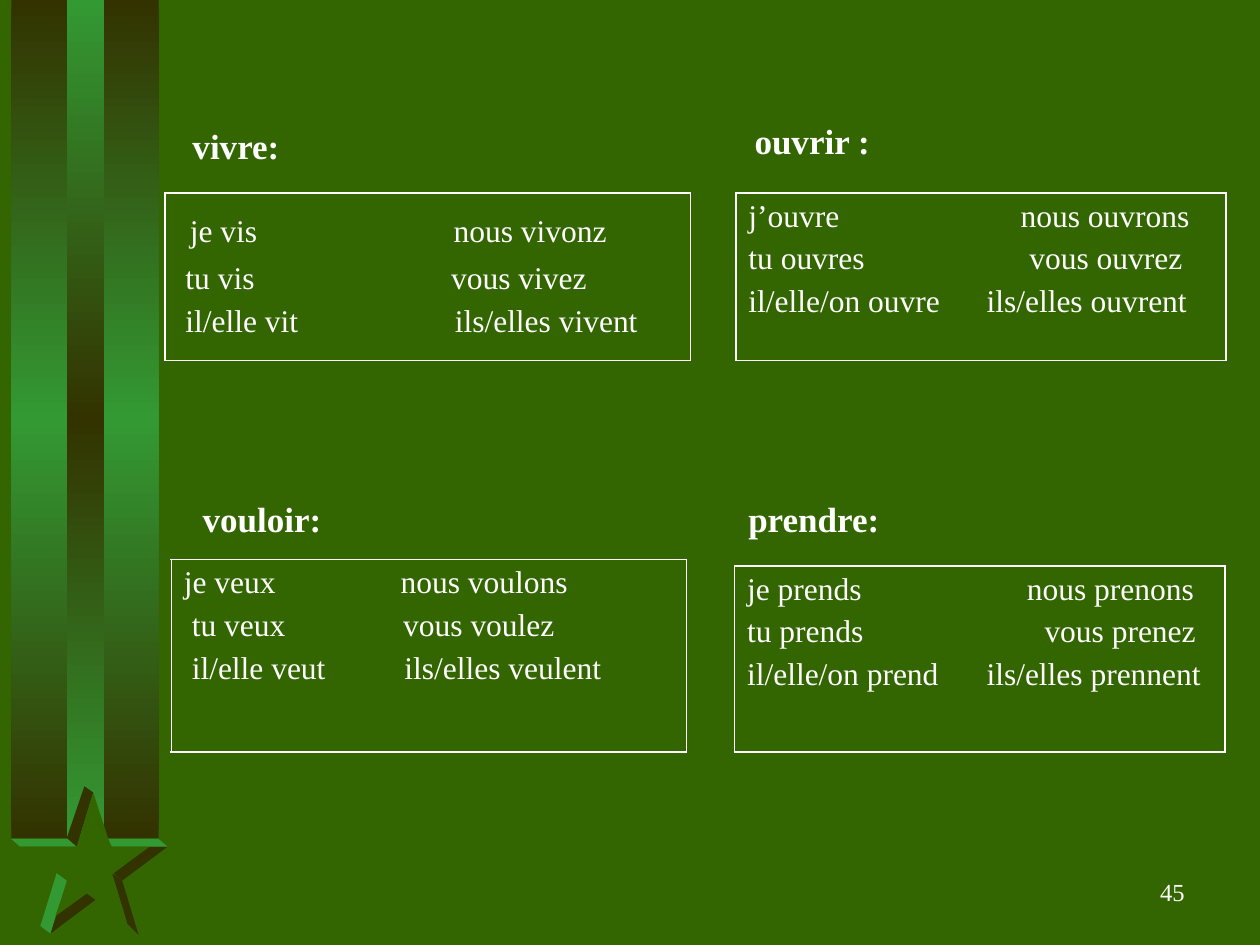
"""Build a slide of four French verb conjugations beside a star ribbon."""
from copy import deepcopy

from lxml.etree import SubElement
from pptx import Presentation
from pptx.dml.color import RGBColor
from pptx.enum.shapes import MSO_SHAPE
from pptx.enum.text import MSO_ANCHOR, PP_ALIGN
from pptx.oxml import parse_xml
from pptx.oxml.ns import nsdecls, qn
from pptx.util import Pt

PX = 9144
FONT = "Times New Roman"
WHITE = RGBColor(0xFF, 0xFF, 0xFF)
BROWN = RGBColor(0x33, 0x33, 0x00)
GREEN = RGBColor(0x33, 0x99, 0x33)
BACK = RGBColor(0x33, 0x66, 0x00)


def box(*at):
    return [n * PX for n in at]


def add_run(para, text, size, bold=False):
    run = para.add_run()
    run.text = text
    run.font.name = FONT
    run.font.size = Pt(size)
    run.font.bold = bold
    run.font.color.rgb = WHITE


deck = Presentation()
deck.slide_width, deck.slide_height = box(1000, 750)
slide = deck.slides.add_slide(deck.slide_layouts[6])
slide.background.fill.solid()
slide.background.fill.fore_color.rgb = BACK
shapes = slide.shapes

bands = [
    ((9, 0, 117, 665), BROWN, GREEN),
    ((53, 0, 30, 665), GREEN, BROWN),
]
for at, edge, mid in bands:
    band = shapes.add_shape(MSO_SHAPE.RECTANGLE, *box(*at))
    band.shadow.inherit = False
    band.line.fill.background()
    band.fill.gradient()
    band.fill.gradient_angle = 90
    stops = band._element.spPr.find(qn("a:gradFill")).find(qn("a:gsLst"))
    stops.append(deepcopy(stops[0]))
    for stop, tint, pos in zip(band.fill.gradient_stops, (edge, mid, edge), (0, 0.5, 1)):
        stop.color.rgb = tint
        stop.position = pos

facets = [
    (BROWN, [(90, 693), (97, 699), (133, 672), (119, 672)]),
    (GREEN, [(9, 666), (16, 672), (62, 672), (54, 666)]),
    (BROWN, [(61, 672), (74, 629), (67, 624), (53, 665)]),
    (GREEN, [(89, 672), (86, 666), (126, 666), (133, 672)]),
    (BROWN, [(33, 735), (40, 741), (76, 714), (69, 709)]),
    (BROWN, [(101, 733), (110, 742), (97, 699), (89, 693)]),
    (GREEN, [(40, 741), (53, 699), (45, 693), (32, 735)]),
    (BACK, [(74, 629), (61, 672), (16, 672), (54, 699), (44, 727),
            (69, 709), (101, 733), (89, 694), (118, 672), (88, 672)]),
]
for tint, points in facets:
    pen = shapes.build_freeform(*points[0], scale=PX)
    pen.add_line_segments(points[1:], close=True)
    facet = pen.convert_to_shape()
    facet.shadow.inherit = False
    facet.fill.solid()
    facet.fill.fore_color.rgb = tint
    facet.line.fill.background()

verbs = [
    ((131, 153, 417, 133), [
        (" je vis", 219, "nous vivonz"),
        (" tu vis", 217, "vous vivez"),
        (" il/elle vit", 220, "ils/elles vivent")]),
    ((584, 153, 389, 133), [
        ("j’ouvre", 216, "nous ouvrons"),
        ("tu ouvres", 223, "vous ouvrez"),
        ("il/elle/on ouvre", 189, "ils/elles ouvrent")]),
    ((136, 444, 409, 153), [
        ("je veux", 172, "nous voulons"),
        (" tu veux", 174, "vous voulez"),
        (" il/elle veut", 175, "ils/elles veulent")]),
    ((583, 449, 389, 148), [
        ("je prends", 222, "nous prenons"),
        ("tu prends", 236, "vous prenez"),
        ("il/elle/on prend", 190, "ils/elles prennent")]),
]
for at, rows in verbs:
    table = shapes.add_table(1, 1, *box(*at)).table
    table.first_row = False
    table.horz_banding = False
    cell = table.cell(0, 0)
    cell.fill.background()
    for i, side in enumerate("LRTB"):
        cell._tc.tcPr.insert(i, parse_xml(
            f'<a:ln{side} {nsdecls("a")} w="{Pt(1.08)}"><a:solidFill>'
            f'<a:srgbClr val="{WHITE}"/></a:solidFill></a:ln{side}>'))
    frame = cell.text_frame
    for i, (left, stop, right) in enumerate(rows):
        para = frame.add_paragraph() if i else frame.paragraphs[0]
        if i:
            para.space_before = Pt(4.5)
        tabs = SubElement(para._p.get_or_add_pPr(), qn("a:tabLst"))
        SubElement(tabs, qn("a:tab"), pos=str(stop * PX), algn="l")
        if left == " je vis":
            add_run(para, " ", 28)
            left = left.strip()
        add_run(para, f"{left}\t{right}", 18)

labels = [
    ((136, 94, 148, 44), " vivre:"),
    ((151, 390, 182, 44), "vouloir:"),
    ((589, 90, 157, 44), "ouvrir :"),
    ((584, 390, 148, 44), "prendre:"),
]
for at, text in labels:
    frame = shapes.add_textbox(*box(*at)).text_frame
    frame.word_wrap = True
    add_run(frame.paragraphs[0], text, 20, True)

frame = shapes.add_textbox(*box(742, 683, 208, 50)).text_frame
frame.word_wrap = True
frame.vertical_anchor = MSO_ANCHOR.MIDDLE
frame.paragraphs[0].alignment = PP_ALIGN.RIGHT
add_run(frame.paragraphs[0], "45", 14)

deck.save("out.pptx")
